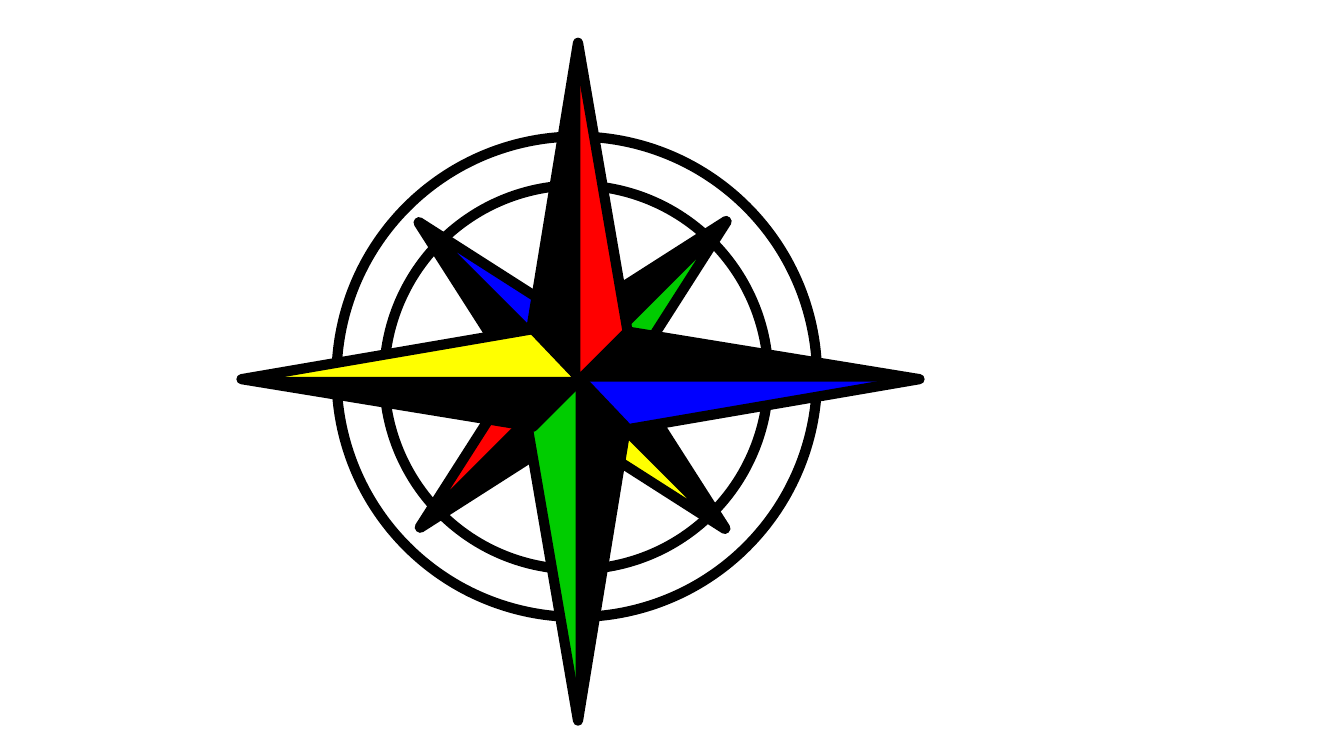
from lxml.etree import SubElement
from pptx import Presentation
from pptx.dml.color import RGBColor
from pptx.enum.shapes import MSO_SHAPE
from pptx.oxml.ns import qn
from pptx.util import Inches, Pt

BLACK, RED, GREEN, BLUE, YELLOW = "000000", "FF0000", "00CC00", "0000FF", "FFFF00"


def paint(shape, fill=None, outlined=True):
    shape.shadow.inherit = False
    if fill:
        shape.fill.solid()
        shape.fill.fore_color.rgb = RGBColor.from_string(fill)
    else:
        shape.fill.background()
    if outlined:
        shape.line.color.rgb = RGBColor.from_string(BLACK)
        shape.line.width = Pt(6)
        SubElement(shape.line._get_or_add_ln(), qn("a:round"))
    else:
        shape.line.fill.background()


def add_outline(shapes, hub, direction, corners):
    hub_x, hub_y = hub
    dx, dy = direction
    points = [
        (Inches(hub_x - side * dy + ahead * dx), Inches(hub_y + side * dx + ahead * dy))
        for side, ahead in corners
    ]
    builder = shapes.build_freeform(*points[0], scale=1.0)
    builder.add_line_segments(points[1:], close=True)
    return builder.convert_to_shape()


deck = Presentation()
deck.slide_width = Inches(11.02)
deck.slide_height = Inches(6.2)
page = deck.slides.add_slide(deck.slide_layouts[6])

for left, top, diameter in [(2.76, 1.12, 3.94), (3.15, 1.52, 3.15)]:
    ring = page.shapes.add_shape(
        MSO_SHAPE.OVAL, Inches(left), Inches(top), Inches(diameter), Inches(diameter)
    )
    paint(ring)

half_width, half_length = 0.39, 1.77
minor_points = [
    ((-1, -1), BLUE, 315, (4.69, 3.08)),
    ((1, 1), YELLOW, 315, (4.69, 3.08)),
    ((-1, 1), RED, 225, (4.7, 3.07)),
    ((1, -1), GREEN, 225, (4.7, 3.07)),
]
for (dx, dy), color, rotation, (hub_x, hub_y) in minor_points:
    for side, fill in [(0.14, color), (-0.14, BLACK)]:
        center_x = hub_x + 0.63 * dx - side * dy
        center_y = hub_y + 0.63 * dy + side * dx
        half = page.shapes.add_shape(
            MSO_SHAPE.RIGHT_TRIANGLE,
            Inches(center_x - half_width / 2),
            Inches(center_y - half_length / 2),
            Inches(half_width),
            Inches(half_length),
        )
        half.rotation = rotation
        frame = half.element.spPr.find(qn("a:xfrm"))
        if (dx > 0) == (side > 0):
            frame.set("flipH", "1")
        if dx > 0:
            frame.set("flipV", "1")
        paint(half, fill)

point_corners = [(0, 0), (0.41, 0.39), (0, 2.78), (-0.39, 0.39)]
shade_corners = [(0.02, 0.02), (0.02, 2.7), (-0.35, 0.41), (-0.35, 0.39)]
major_points = [
    ((0, -1), RED, (4.74, 3.13)),
    ((0, 1), GREEN, (4.74, 3.13)),
    ((-1, 0), YELLOW, (4.76, 3.11)),
    ((1, 0), BLUE, (4.76, 3.11)),
]
for direction, color, hub in major_points:
    paint(add_outline(page.shapes, hub, direction, point_corners), color)
    paint(add_outline(page.shapes, hub, direction, shade_corners), BLACK, outlined=False)

deck.save("out.pptx")
